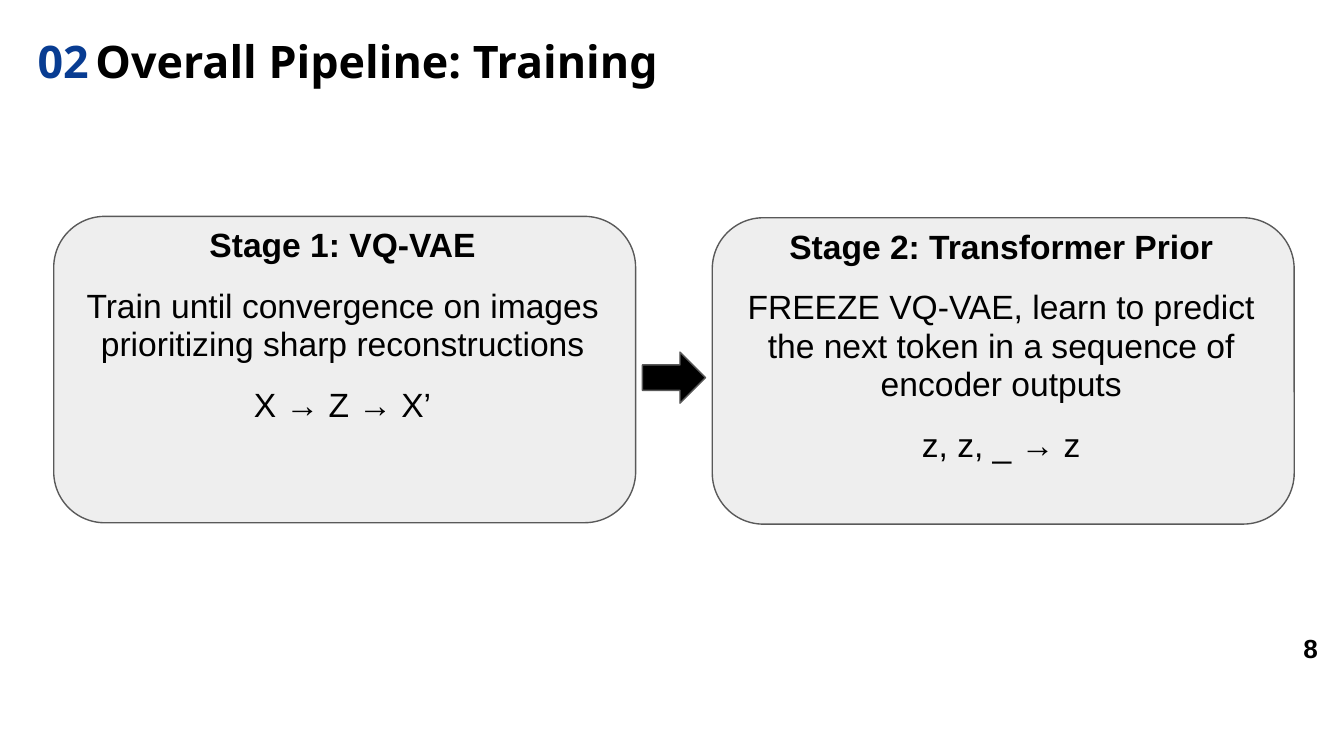
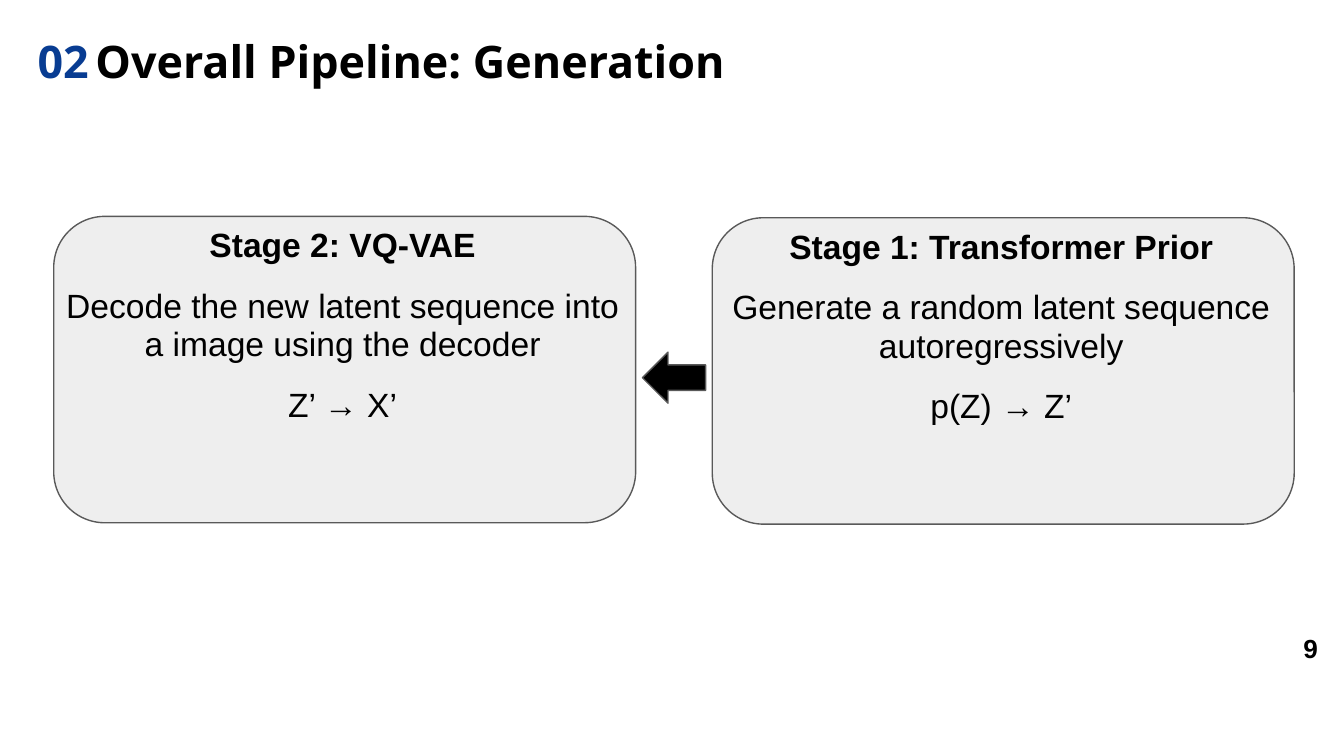
from pptx import Presentation
from pptx.dml.color import RGBColor
from pptx.enum.shapes import MSO_SHAPE
from pptx.enum.text import MSO_ANCHOR, MSO_AUTO_SIZE, PP_ALIGN
from pptx.util import Inches, Pt

ROUNDED, ARROW = MSO_SHAPE.ROUNDED_RECTANGLE, MSO_SHAPE.RIGHT_ARROW
TOP, MIDDLE = MSO_ANCHOR.TOP, MSO_ANCHOR.MIDDLE
LEFT, CENTER = PP_ALIGN.LEFT, PP_ALIGN.CENTER
NO_AUTOFIT = MSO_AUTO_SIZE.NONE

# Content: stages run from left to right on the slide
SECTION = "02"
PIPELINES = [
    {
        "title": "Overall Pipeline: Training",
        "page": 8,
        "arrow_rotation": 0,
        "stages": [
            ("Stage 1: VQ-VAE",
             "Train until convergence on images prioritizing sharp reconstructions",
             "X → Z → X’"),
            ("Stage 2: Transformer Prior",
             "FREEZE VQ-VAE, learn to predict the next token in a sequence of "
             "encoder outputs",
             "z, z, _ → z"),
        ],
    },
    {
        "title": "Overall Pipeline: Generation",
        "page": 9,
        "arrow_rotation": 180,
        "stages": [
            ("Stage 2: VQ-VAE",
             "Decode the new latent sequence into a image using the decoder",
             "Z’ → X’"),
            ("Stage 1: Transformer Prior",
             "Generate a random latent sequence autoregressively",
             "p(Z) → Z’"),
        ],
    },
]

# Shared style
COLORS = {"text": "000000", "section": "083C92", "card": "EEEEEE",
          "outline": "595959", "arrow": "000000"}
TITLE_FONT, BODY_FONT = "Noto Sans", "Arial"
TITLE_INSETS, BODY_INSETS, PAGE_INSETS = (0.07, 0.04), (0.1, 0.1), (0.1, 0.05)

# Layout in inches
SLIDE_WIDTH = 10
SLIDE_HEIGHT = SLIDE_WIDTH * 9 / 16
CARD_SIZE = (4.33, 2.28)
CARD_ORIGINS = [(0.4, 1.61), (5.3, 1.62)]
TEXT_OFFSET = (0.03, 0.02)  # card text starts this far left of and above its card
ARROW_SIZE = (0.47, 0.38)
ARROW_TOP = 2.62


def color(name):
    return RGBColor.from_string(COLORS[name])


def place(shape, left, top, width, height):
    shape.left, shape.top = Inches(left), Inches(top)
    shape.width, shape.height = Inches(width), Inches(height)


def prepare_frame(shape, insets, anchor=TOP):
    frame = shape.text_frame
    frame.word_wrap = True
    frame.auto_size = NO_AUTOFIT
    frame.vertical_anchor = anchor
    frame.margin_left = frame.margin_right = Inches(insets[0])
    frame.margin_top = frame.margin_bottom = Inches(insets[1])
    return frame


def write(paragraph, text, font, size, color_name="text", bold=True,
          align=LEFT, line_spacing=1.0):
    paragraph.alignment = align
    paragraph.line_spacing = line_spacing
    run = paragraph.add_run()
    run.text = text
    run.font.name, run.font.size, run.font.bold = font, Pt(size), bold
    run.font.color.rgb = color(color_name)


def add_text_box(slide, box, insets):
    return prepare_frame(slide.shapes.add_textbox(*map(Inches, box)), insets)


def add_outlined(slide, kind, box, fill_name):
    shape = slide.shapes.add_shape(kind, *map(Inches, box))
    shape.shadow.inherit = False
    shape.fill.solid()
    shape.fill.fore_color.rgb = color(fill_name)
    shape.line.color.rgb = color("outline")
    shape.line.width = Pt(0.75)
    return shape


def add_header_and_page(slide, title_text, page):
    section = add_text_box(slide, (0.21, 0.26, 0.6, 0.3), TITLE_INSETS)
    write(section.paragraphs[0], SECTION, TITLE_FONT, 24, "section",
          line_spacing=0.9)

    title = slide.shapes.title
    place(title, 0.64, 0.12, 6.17, 0.71)
    heading = prepare_frame(title, TITLE_INSETS, MIDDLE)
    write(heading.paragraphs[0], title_text, TITLE_FONT, 24, line_spacing=0.9)

    number = add_text_box(slide, (9.6, 4.66, 0.49, 0.34), PAGE_INSETS)
    write(number.paragraphs[0], str(page), BODY_FONT, 14)


def add_stage(slide, origin, lines):
    add_outlined(slide, ROUNDED, (*origin, *CARD_SIZE), "card")
    (left, top), (width, height), (dx, dy) = origin, CARD_SIZE, TEXT_OFFSET
    frame = add_text_box(slide, (left - dx, top - dy, width + dx, height + dy),
                         BODY_INSETS)
    for index, line in enumerate(lines):
        paragraph = frame.add_paragraph() if index else frame.paragraphs[0]
        if index:
            paragraph.space_before = Pt(12)
        write(paragraph, line, BODY_FONT, 18, bold=index == 0,
              align=CENTER, line_spacing=0.95)


def add_flow_arrow(slide, rotation):
    # Centre the arrow in the gap between the two cards
    gap_start = CARD_ORIGINS[0][0] + CARD_SIZE[0]
    gap_end = CARD_ORIGINS[1][0]
    left = (gap_start + gap_end - ARROW_SIZE[0]) / 2
    arrow = add_outlined(slide, ARROW, (left, ARROW_TOP, *ARROW_SIZE), "arrow")
    arrow.rotation = rotation


def main():
    deck = Presentation()
    deck.slide_width, deck.slide_height = Inches(SLIDE_WIDTH), Inches(SLIDE_HEIGHT)
    title_only = deck.slide_layouts[5]
    for pipeline in PIPELINES:
        slide = deck.slides.add_slide(title_only)
        add_header_and_page(slide, pipeline["title"], pipeline["page"])
        for origin, lines in zip(CARD_ORIGINS, pipeline["stages"]):
            add_stage(slide, origin, lines)
        add_flow_arrow(slide, pipeline["arrow_rotation"])
    deck.save("out.pptx")


if __name__ == "__main__":
    main()
